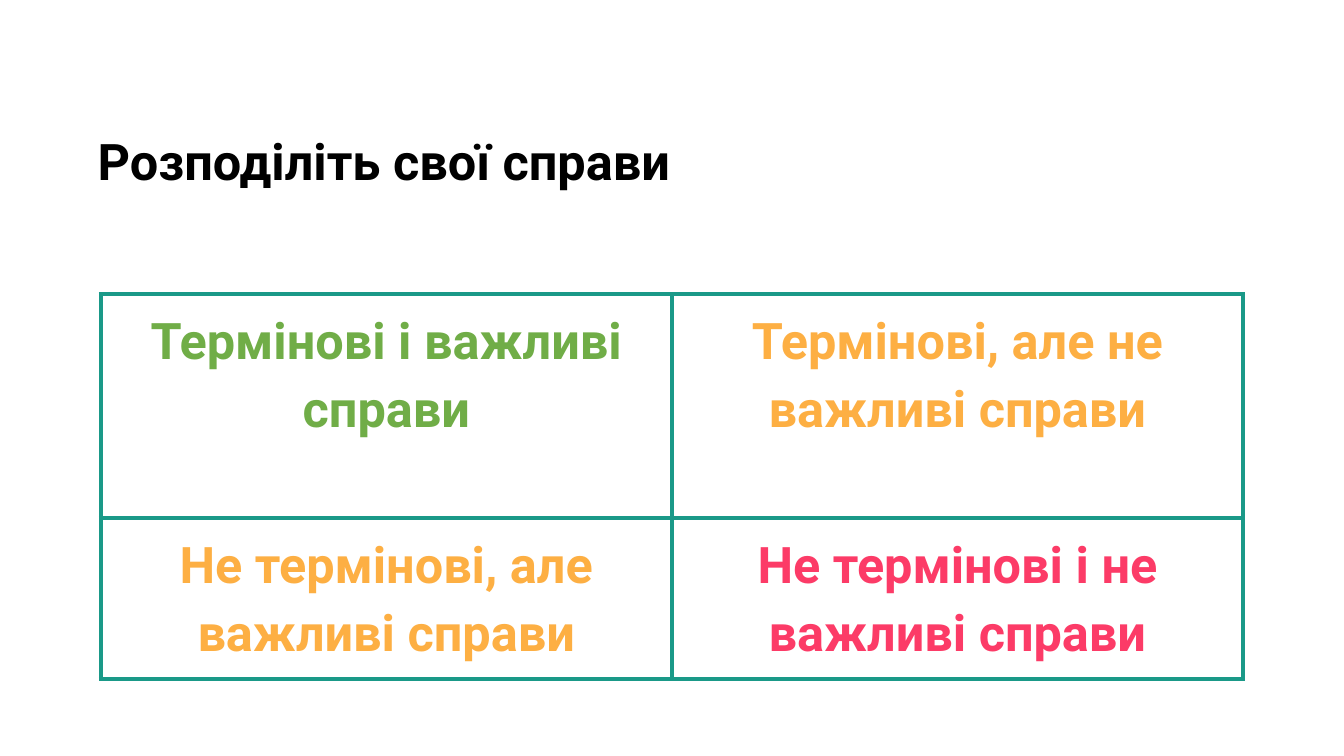
from lxml.etree import SubElement
from pptx import Presentation
from pptx.dml.color import RGBColor
from pptx.enum.text import MSO_ANCHOR, MSO_AUTO_SIZE, PP_ALIGN
from pptx.oxml.ns import qn
from pptx.util import Pt

COLORS = {
    "title": "000000",
    "border": "1A9988",
    "green": "70AD47",
    "orange": "FDAF43",
    "red": "FC3B67",
}
FONT_NAME = "Roboto"
INSET = Pt(7.2)

MATRIX = [
    [("Термінові і важливі справи", "green"),
     ("Термінові, але не важливі справи", "orange")],
    [("Не термінові, але важливі справи", "orange"),
     ("Не термінові і не важливі справи", "red")],
]
ROW_HEIGHTS = [160, 115]


def format_paragraph(paragraph, color, alignment, line_spacing, space_before):
    paragraph.alignment = alignment
    paragraph.line_spacing = line_spacing
    paragraph.space_before = Pt(space_before)
    font = paragraph.font
    font.name = FONT_NAME
    font.size = Pt(36)
    font.bold = True
    font.color.rgb = RGBColor.from_string(COLORS[color])


def set_cell_borders(cell, color, width):
    properties = cell._tc.get_or_add_tcPr()
    # Borders must precede the fill in the cell properties
    for index, side in enumerate(("lnL", "lnR", "lnT", "lnB")):
        line = SubElement(properties, qn(f"a:{side}"), w=str(Pt(width)))
        fill = SubElement(line, qn("a:solidFill"))
        SubElement(fill, qn("a:srgbClr"), val=COLORS[color])
        properties.insert(index, line)


def add_title(slide, left, top, width, height):
    title = slide.shapes.title
    title.left, title.top = Pt(left), Pt(top)
    title.width, title.height = Pt(width), Pt(height)
    frame = title.text_frame
    frame.text = "Розподіліть свої справи"
    frame.word_wrap = True
    frame.auto_size = MSO_AUTO_SIZE.NONE
    frame.vertical_anchor = MSO_ANCHOR.TOP
    frame.margin_left = frame.margin_right = INSET
    frame.margin_top = frame.margin_bottom = INSET
    format_paragraph(frame.paragraphs[0], "title", PP_ALIGN.LEFT, 1.0, 0)


def add_matrix(slide, left, top, width, height):
    shape = slide.shapes.add_table(len(MATRIX), len(MATRIX[0]),
                                   Pt(left), Pt(top), Pt(width), Pt(height))
    table = shape.table
    table.first_row = table.horz_banding = False
    for row, row_height in zip(table.rows, ROW_HEIGHTS):
        row.height = Pt(row_height)

    # Task categories
    for row, entries in zip(table.rows, MATRIX):
        for cell, (text, color) in zip(row.cells, entries):
            cell.text = text
            cell.fill.background()
            cell.vertical_anchor = MSO_ANCHOR.TOP
            cell.margin_left = cell.margin_right = INSET
            cell.margin_top = cell.margin_bottom = INSET
            format_paragraph(cell.text_frame.paragraphs[0], color,
                             PP_ALIGN.CENTER, 1.15, 10)
            set_cell_borders(cell, "border", 3)


def main():
    presentation = Presentation()
    presentation.slide_width = Pt(960)
    presentation.slide_height = Pt(540)
    slide = presentation.slides.add_slide(presentation.slide_layouts[5])
    add_title(slide, 62.6, 85.7, 652, 57)
    add_matrix(slide, 72, 210, 816, sum(ROW_HEIGHTS))
    presentation.save("out.pptx")


if __name__ == "__main__":
    main()
